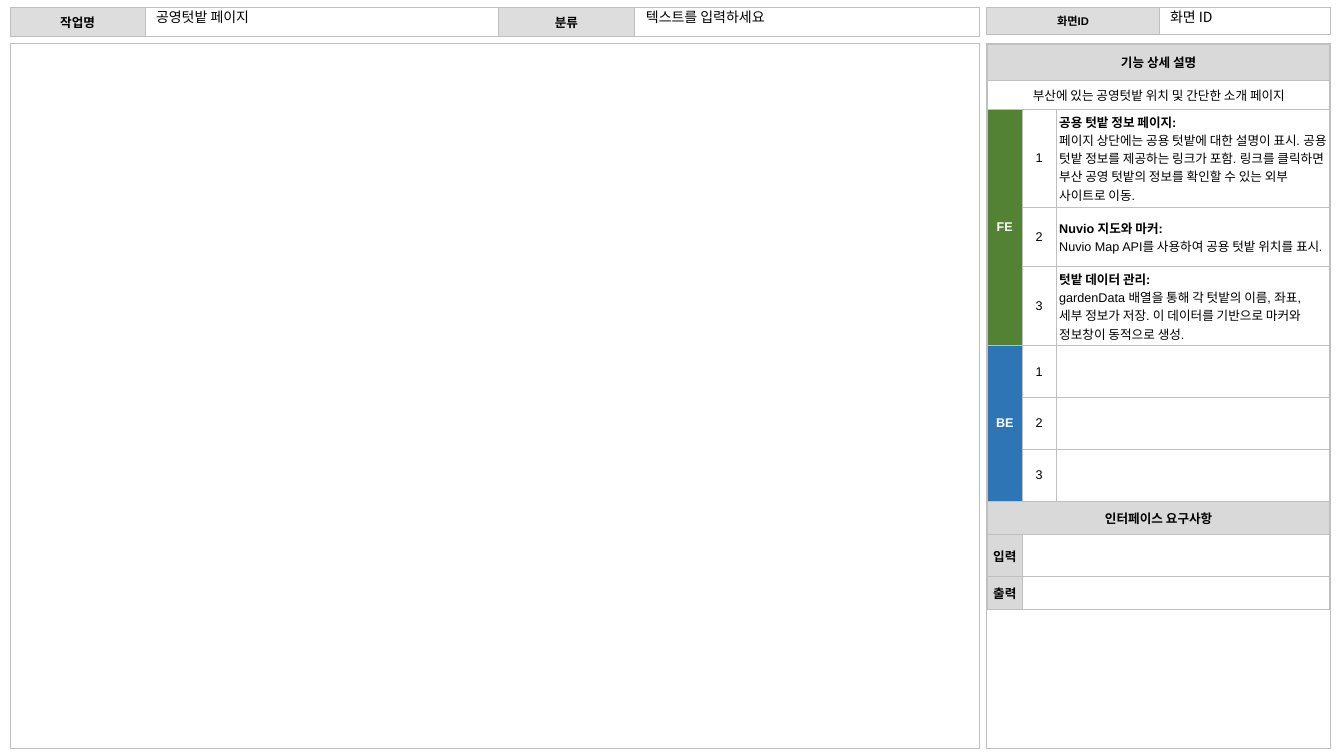
from dataclasses import dataclass

from lxml.etree import SubElement
from pptx import Presentation
from pptx.dml.color import RGBColor
from pptx.enum.text import MSO_ANCHOR, PP_ALIGN
from pptx.oxml.ns import qn
from pptx.util import Pt


@dataclass(frozen=True)
class Theme:
    label_font: str = "Arial"
    entry_font: str = "Noto Sans CJK KR"
    label_size: float = 9
    small_size: float = 8
    entry_size: float = 10
    border_width: float = 0.75
    black: str = "000000"
    white: str = "FFFFFF"
    border: str = "BFBFBF"
    header: str = "DDDDDD"
    section: str = "D9D9D9"
    front_end: str = "548235"
    back_end: str = "2E75B6"


THEME = Theme()
HEADER_MARGINS = (9.36, 3.6)
DETAIL_MARGINS = (2.16, 2.16)

CANVAS_LEFT, CANVAS_WIDTH = 7.2, 692.6
PANEL_LEFT, PANEL_WIDTH = 704.9, 245.5
BODY_TOP, BODY_HEIGHT = 31, 503.3
HEADER_HEIGHT = 19.4

FRONT_END_ITEMS = [
    ("공용 텃밭 정보 페이지:",
     "페이지 상단에는 공용 텃밭에 대한 설명이 표시. 공용 텃밭 정보를 제공하는 링크가 포함. "
     "링크를 클릭하면 부산 공영 텃밭의 정보를 확인할 수 있는 외부 사이트로 이동."),
    ("Nuvio 지도와 마커:",
     "Nuvio Map API를 사용하여 공용 텃밭 위치를 표시."),
    ("텃밭 데이터 관리:",
     "gardenData 배열을 통해 각 텃밭의 이름, 좌표, 세부 정보가 저장. "
     "이 데이터를 기반으로 마커와 정보창이 동적으로 생성."),
]
BACK_END_ITEMS = [(), (), ()]


def set_font(font, color=THEME.black, **values):
    values = {"name": THEME.label_font, "size": THEME.label_size, "bold": False} | values
    values["size"] = Pt(values["size"])
    for attribute, value in values.items():
        setattr(font, attribute, value)
    font.color.rgb = RGBColor.from_string(color)


def add_borders(cell):
    properties = cell._tc.get_or_add_tcPr()
    for side in ("lnL", "lnR", "lnT", "lnB"):
        line = SubElement(properties, qn(f"a:{side}"), w=str(Pt(THEME.border_width)))
        fill = SubElement(line, qn("a:solidFill"))
        SubElement(fill, qn("a:srgbClr"), val=THEME.border)


def add_grid(slide, left, top, widths, heights, margins):
    """Add an unfilled, bordered table whose empty cells hold a small type size."""
    table = slide.shapes.add_table(
        len(heights), len(widths), Pt(left), Pt(top), Pt(sum(widths)), Pt(sum(heights))
    ).table
    table.first_row = table.horz_banding = False
    for column, width in zip(table.columns, widths):
        column.width = Pt(width)
    for row, height in zip(table.rows, heights):
        row.height = Pt(height)
    horizontal, vertical = margins
    cell_format = {
        "margin_left": Pt(horizontal), "margin_right": Pt(horizontal),
        "margin_top": Pt(vertical), "margin_bottom": Pt(vertical),
        "vertical_anchor": MSO_ANCHOR.MIDDLE,
    }
    for cell in table.iter_cells():
        for attribute, value in cell_format.items():
            setattr(cell, attribute, value)
        add_borders(cell)
        cell.fill.background()
        SubElement(cell.text_frame.paragraphs[0]._p, qn("a:endParaRPr"),
                   sz=str(int(THEME.label_size * 100)))
    return table


def write_label(cell, text, fill=None, **font_values):
    paragraph = cell.text_frame.paragraphs[0]
    paragraph.alignment = PP_ALIGN.CENTER
    run = paragraph.add_run()
    run.text = text
    set_font(run.font, **font_values)
    if fill:
        cell.fill.solid()
        cell.fill.fore_color.rgb = RGBColor.from_string(fill)


def write_description(cell, lines):
    """Write a bold title followed by its plain explanation."""
    for index, text in enumerate(lines):
        frame = cell.text_frame
        paragraph = frame.add_paragraph() if index else frame.paragraphs[0]
        run = paragraph.add_run()
        run.text = text
        set_font(run.font, bold=index == 0)


def add_header(slide, left, top, widths, labels, size):
    table = add_grid(slide, left, top, widths, [HEADER_HEIGHT], HEADER_MARGINS)
    for index, label in enumerate(labels):
        write_label(table.cell(0, 2 * index), label, THEME.header, bold=True, size=size)


def add_entry(slide, left, width, text):
    box = slide.shapes.add_textbox(Pt(left), Pt(5.8), Pt(width), Pt(18.7))
    frame = box.text_frame
    frame.word_wrap = True
    frame.margin_top = frame.margin_bottom = Pt(1.5)
    paragraph = frame.paragraphs[0]
    paragraph.line_spacing = 0.9
    run = paragraph.add_run()
    run.text = text
    set_font(run.font, name=THEME.entry_font, size=THEME.entry_size)


def fill_group(table, first_row, name, color, items):
    """Fill one group of numbered items beside a merged, coloured label."""
    group = table.cell(first_row, 0)
    group.merge(table.cell(first_row + len(items) - 1, 0))
    write_label(group, name, color, color=THEME.white, bold=True)
    for index, lines in enumerate(items):
        write_label(table.cell(first_row + index, 1), str(index + 1))
        write_description(table.cell(first_row + index, 2), lines)


def add_details(slide):
    heights = [25.4, 20.9] + [42.5] * 3 + [37.1] * 3 + [23.8, 29.8, 23.8]
    table = add_grid(slide, 705.3, 31.9, [24.8, 24.4, 195.4], heights, DETAIL_MARGINS)
    full_rows = [
        (0, "기능 상세 설명", THEME.section, True),
        (1, "부산에 있는 공영텃밭 위치 및 간단한 소개 페이지", None, False),
        (8, "인터페이스 요구사항", THEME.section, True),
    ]
    for row, text, fill, bold in full_rows:
        table.cell(row, 0).merge(table.cell(row, 2))
        write_label(table.cell(row, 0), text, fill, bold=bold)
    fill_group(table, 2, "FE", THEME.front_end, FRONT_END_ITEMS)
    fill_group(table, 5, "BE", THEME.back_end, BACK_END_ITEMS)
    for row, text in enumerate(("입력", "출력"), start=9):
        table.cell(row, 1).merge(table.cell(row, 2))
        write_label(table.cell(row, 0), text, THEME.section, bold=True)


def main():
    presentation = Presentation()
    presentation.slide_width, presentation.slide_height = Pt(960), Pt(540)
    slide = presentation.slides.add_slide(presentation.slide_layouts[6])

    for left, width in ((PANEL_LEFT, PANEL_WIDTH), (CANVAS_LEFT, CANVAS_WIDTH)):
        add_grid(slide, left, BODY_TOP, [width], [BODY_HEIGHT], HEADER_MARGINS)
    add_header(slide, CANVAS_LEFT, 5.6, [96.5, 252.7, 96.5, 246.9],
               ["작업명", "분류"], THEME.label_size)
    add_header(slide, PANEL_LEFT, 5.2, [123.1, 122.4], ["화면ID"], THEME.small_size)
    add_details(slide)

    add_entry(slide, 104.4, 251.3, "공영텃밭 페이지")
    add_entry(slide, 454.3, 244.1, "텍스트를 입력하세요")
    add_entry(slide, 828.7, 121.7, "화면 ID")
    presentation.save("out.pptx")


if __name__ == "__main__":
    main()
